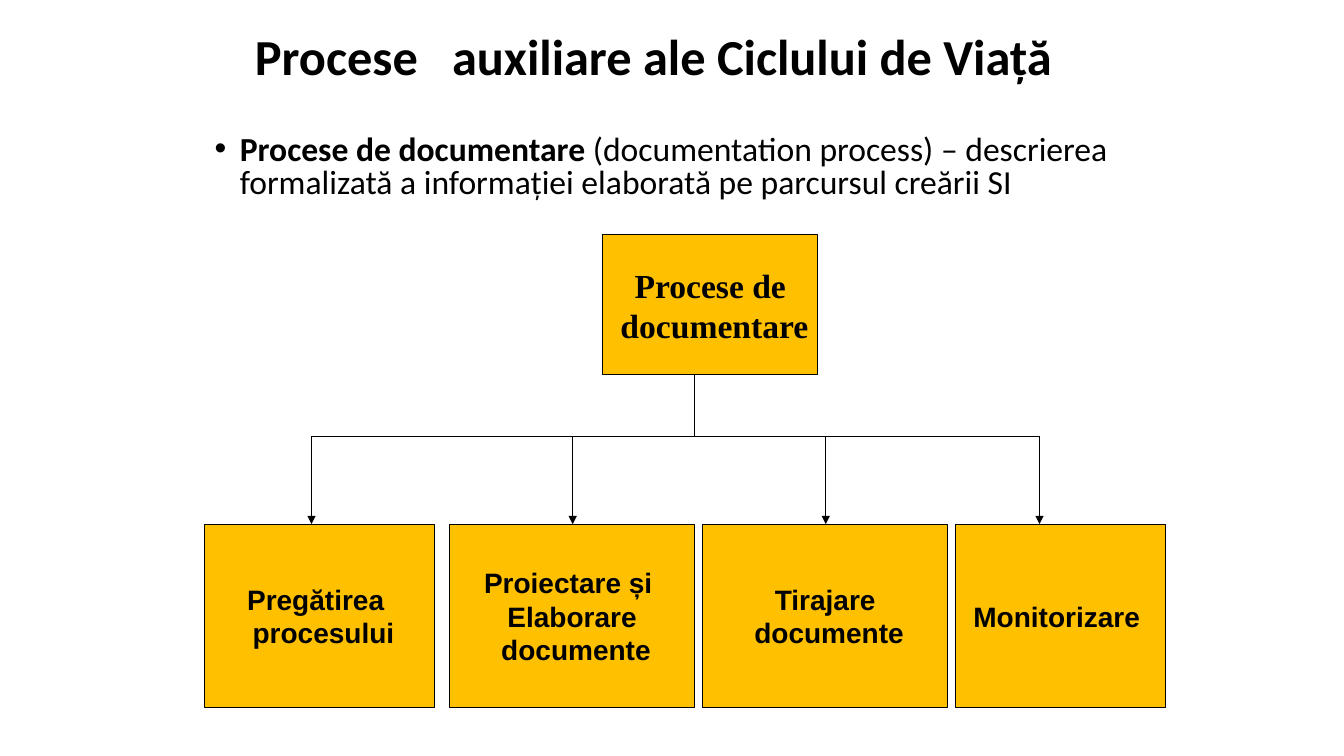
from lxml import etree
from pptx import Presentation
from pptx.dml.color import RGBColor
from pptx.enum.shapes import MSO_CONNECTOR, MSO_SHAPE
from pptx.enum.text import MSO_ANCHOR, PP_ALIGN
from pptx.oxml.ns import qn
from pptx.util import Inches, Pt

RECTANGLE = MSO_SHAPE.RECTANGLE
STRAIGHT = MSO_CONNECTOR.STRAIGHT
MIDDLE = MSO_ANCHOR.MIDDLE
CENTER = PP_ALIGN.CENTER
LEFT = PP_ALIGN.LEFT
COLORS = {"box": "FFC000", "ink": "000000"}

BUS_Y = 4.33
CHILD_TOP = 5.2
CHILD_HEIGHT = 1.82
ROOT_BOX = (5.98, 2.33, 2.13, 1.39)
ROOT_LINE_X = 6.89
CHILDREN = [
    (2.03, 2.28, 3.09, ["Pregătirea ", " procesului"]),
    (4.46, 2.43, 5.68, ["Proiectare și ", "Elaborare", " documente"]),
    (6.97, 2.43, 8.19, ["Tirajare", " documente"]),
    (9.48, 2.08, 10.31, ["Monitorizare "]),
]


def color(name):
    return RGBColor.from_string(COLORS[name])


def add_run(paragraph, text, size=24, font="Calibri", bold=False):
    run = paragraph.add_run()
    run.text = text
    run.font.size = Pt(size)
    run.font.name = font
    run.font.bold = bold
    run.font.color.rgb = color("ink")


def add_box(slide, bounds, lines, **text_format):
    shape = slide.shapes.add_shape(RECTANGLE, *map(Inches, bounds))
    shape.shadow.inherit = False
    shape.fill.solid()
    shape.fill.fore_color.rgb = color("box")
    shape.line.color.rgb = color("ink")
    shape.line.width = Pt(0.75)
    frame = shape.text_frame
    frame.word_wrap = False
    frame.vertical_anchor = MIDDLE
    for index, line in enumerate(lines):
        paragraph = frame.add_paragraph() if index else frame.paragraphs[0]
        paragraph.alignment = CENTER
        add_run(paragraph, line, bold=True, **text_format)


def add_line(slide, start, end, arrow=False):
    connector = slide.shapes.add_connector(STRAIGHT, *map(Inches, start + end))
    connector.line.color.rgb = color("ink")
    connector.line.width = Pt(0.75)
    if arrow:
        line = connector.line._get_or_add_ln()
        etree.SubElement(line, qn("a:tailEnd"), type="triangle")
    etree.SubElement(connector._element.spPr, qn("a:effectLst"))


def add_text_box(slide, bounds, line_spacing):
    frame = slide.shapes.add_textbox(*map(Inches, bounds)).text_frame
    frame.word_wrap = True
    paragraph = frame.paragraphs[0]
    paragraph.alignment = LEFT
    paragraph.line_spacing = line_spacing
    return frame, paragraph


def add_bullet(paragraph, indent):
    properties = paragraph._p.get_or_add_pPr()
    properties.set("marL", str(Inches(indent)))
    properties.set("indent", str(-Inches(indent)))
    etree.SubElement(properties, qn("a:buFont"), typeface="Arial")
    etree.SubElement(properties, qn("a:buChar"), char="•")


def add_title(slide):
    frame, paragraph = add_text_box(slide, (2.43, 0.26, 8.5, 0.66), 0.9)
    frame.vertical_anchor = MIDDLE
    add_run(paragraph, "Procese   auxiliare ale Ciclului de Viață", size=36, bold=True)


def add_definition(slide):
    _, paragraph = add_text_box(slide, (2.03, 1.3, 9.41, 0.77), 0.8)
    add_bullet(paragraph, 0.25)
    add_run(paragraph, "Procese de documentare", bold=True)
    add_run(paragraph, " (documentation process) – descrierea formalizată "
                       "a informației elaborată pe parcursul creării SI")


def add_process_tree(slide):
    add_box(slide, ROOT_BOX, ["Procese de", " documentare"], font="Times New Roman")
    root_bottom = ROOT_BOX[1] + ROOT_BOX[3]
    add_line(slide, (ROOT_LINE_X, root_bottom), (ROOT_LINE_X, BUS_Y))
    add_line(slide, (CHILDREN[0][2], BUS_Y), (CHILDREN[-1][2], BUS_Y))
    for left, width, arrow_x, lines in CHILDREN:
        add_box(slide, (left, CHILD_TOP, width, CHILD_HEIGHT), lines, size=20, font="Arial")
        add_line(slide, (arrow_x, BUS_Y), (arrow_x, CHILD_TOP), arrow=True)


def main():
    presentation = Presentation()
    presentation.slide_width = Inches(13.33)
    presentation.slide_height = Inches(7.5)
    slide = presentation.slides.add_slide(presentation.slide_layouts[6])
    add_process_tree(slide)
    add_title(slide)
    add_definition(slide)
    presentation.save("out.pptx")


if __name__ == "__main__":
    main()
